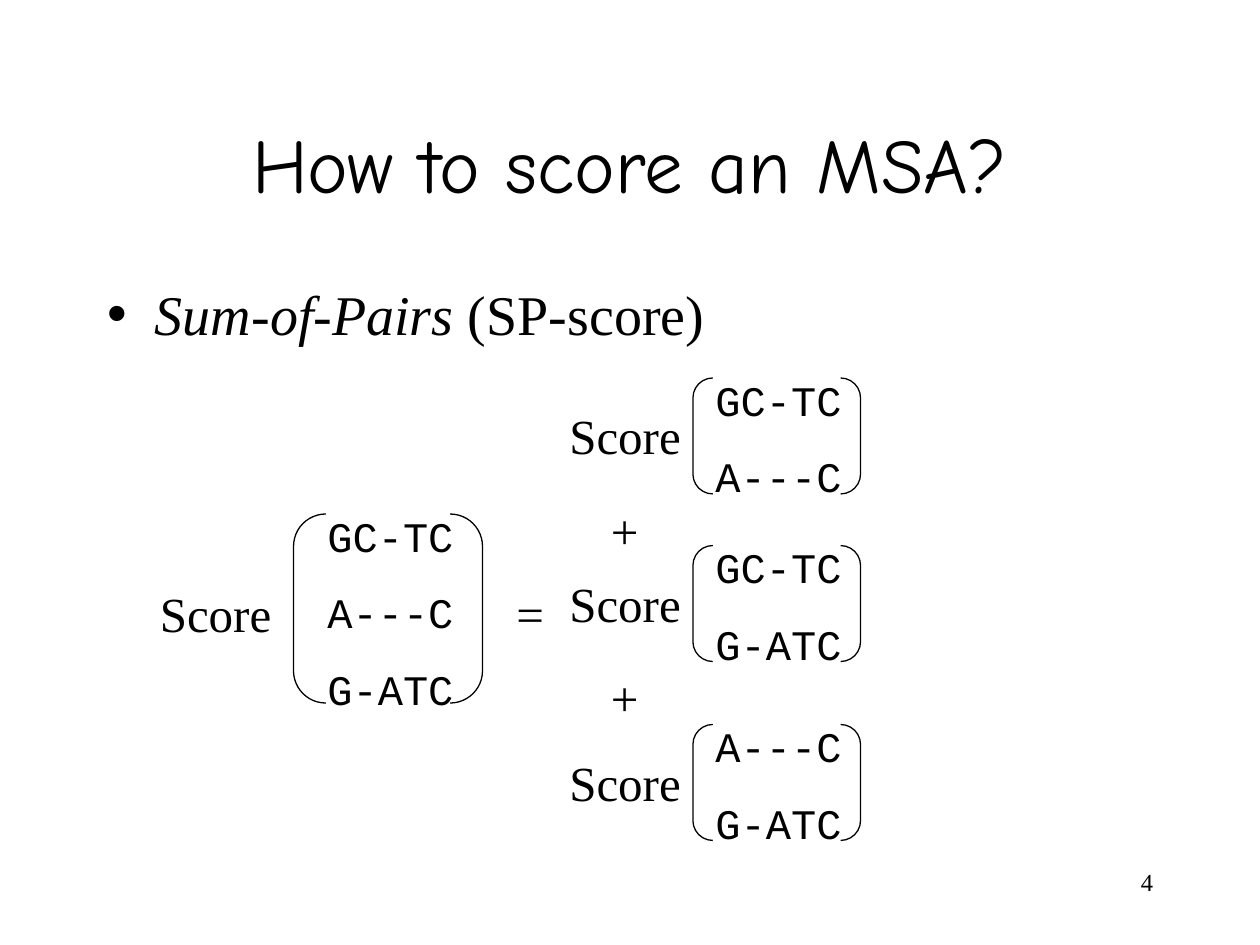
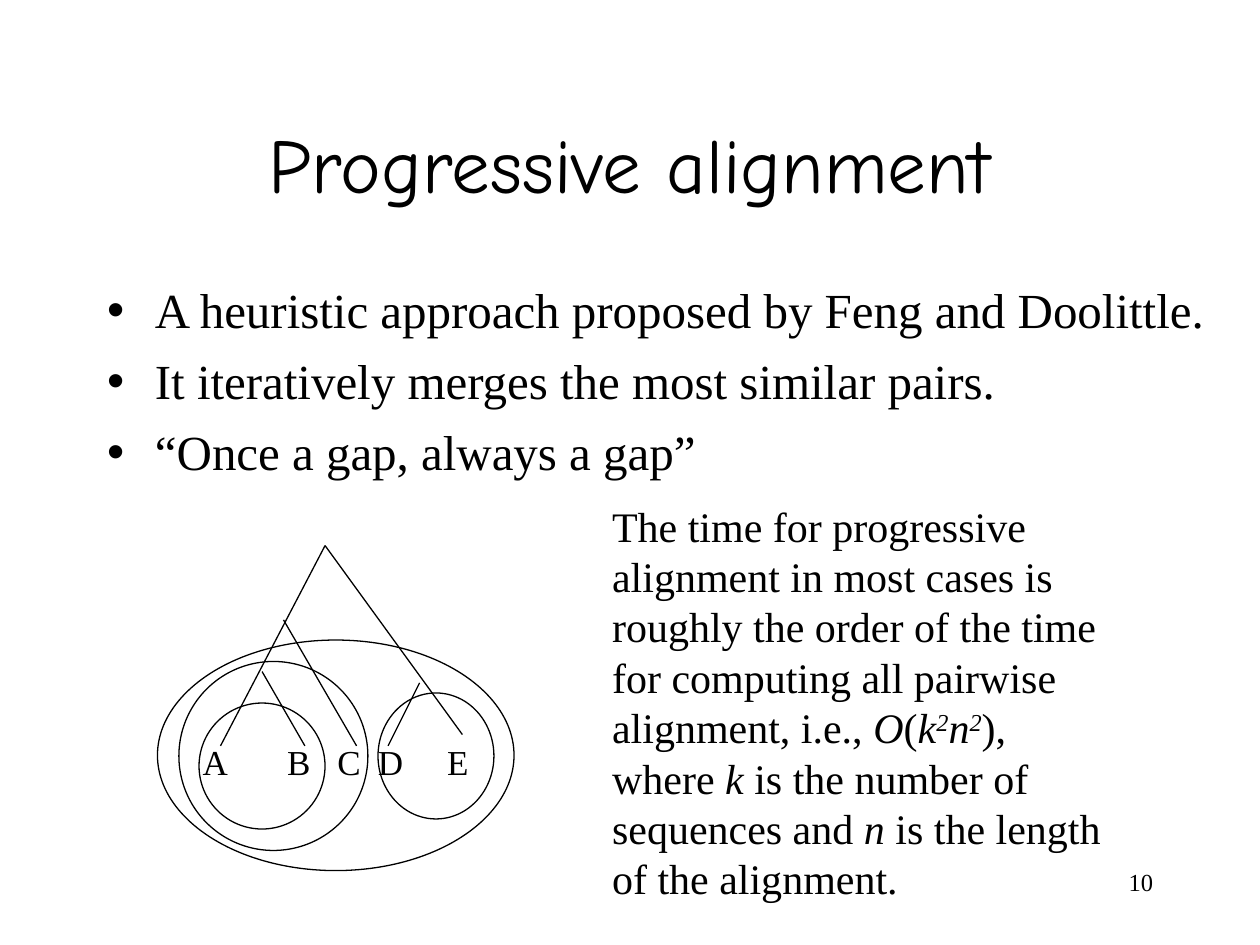
from lxml.etree import SubElement
from pptx import Presentation
from pptx.dml.color import RGBColor
from pptx.enum.shapes import MSO_CONNECTOR, MSO_SHAPE
from pptx.enum.text import MSO_ANCHOR, MSO_AUTO_SIZE, PP_ALIGN
from pptx.oxml.ns import qn
from pptx.util import Inches, Pt

INK = "000000"
LINE_WIDTH = Pt(0.74)
SERIF = "Times New Roman"
TITLE = {"name": "Comic Neue", "size": Pt(44)}
SEQUENCE = {"name": "Courier New", "size": Pt(24)}
FORMULA = {"name": SERIF, "size": Pt(28)}
NOTE = {"name": SERIF, "size": Pt(24)}
LEAF = {"name": SERIF, "size": Pt(20)}
PAGE_NUMBER = {"name": SERIF, "size": Pt(14)}


def color(value):
    """Turn a hex string into a colour."""
    return RGBColor.from_string(value)


def box(*lengths):
    """Convert left, top, width and height to lengths in inches."""
    return [Inches(length) for length in lengths]


def place(shape, *lengths):
    """Move and size a placeholder."""
    for name, value in zip(("left", "top", "width", "height"), box(*lengths)):
        setattr(shape, name, value)


def add_run(paragraph, text, style, variant=""):
    """Add one run; the variant may name italic and superscript."""
    run = paragraph.add_run()
    run.text = text
    for name, value in style.items():
        setattr(run.font, name, value)
    run.font.color.rgb = color(INK)
    if "italic" in variant:
        run.font.italic = True
    if "superscript" in variant:
        run.font._element.set("baseline", "30000")


def fill_text(frame, lines, style, **paragraph_format):
    """Write lines, each a string or a list of (text, variant) runs."""
    frame.word_wrap = True
    for index, line in enumerate(lines):
        paragraph = frame.add_paragraph() if index else frame.paragraphs[0]
        for name, value in paragraph_format.items():
            setattr(paragraph, name, value)
        runs = [(line, "")] if isinstance(line, str) else line
        for text, variant in runs:
            add_run(paragraph, text, style, variant)


def add_text(slide, lengths, lines, style, **paragraph_format):
    """Add a text box that grows with its lines."""
    frame = slide.shapes.add_textbox(*box(*lengths)).text_frame
    frame.auto_size = MSO_AUTO_SIZE.SHAPE_TO_FIT_TEXT
    paragraph_format.setdefault("space_before", style["size"] * 5 // 8)
    fill_text(frame, lines, style, **paragraph_format)
    return frame


def add_outline(slide, kind, *lengths):
    """Add an unfilled preset shape with a thin line."""
    shape = slide.shapes.add_shape(kind, *box(*lengths))
    shape.shadow.inherit = False
    shape.fill.background()
    shape.line.color.rgb = color(INK)
    shape.line.width = LINE_WIDTH
    return shape


def add_line(slide, start, end):
    """Draw a thin straight line between two points."""
    line = slide.shapes.add_connector(MSO_CONNECTOR.STRAIGHT, *box(*start, *end))
    line.line.color.rgb = color(INK)
    line.line.width = LINE_WIDTH
    SubElement(line._element.spPr, qn("a:effectLst"))


def add_score_word(slide, left, top):
    """Write the function name in front of a bracket."""
    add_text(slide, (left, top, 1.12, 0.57), ["Score"], FORMULA)


def add_bracketed(slide, sequences, *lengths):
    """Put a pair of round brackets around a block of sequences."""
    left, top, width, height = lengths
    offset = 0.17 if len(sequences) > 2 else 0.08
    add_text(slide, (left + offset, top - 0.08, 1.25, height + 0.2),
             sequences, SEQUENCE)
    bracket = add_outline(slide, MSO_SHAPE.DOUBLE_BRACKET, *lengths)
    bracket.adjustments[0] = 0.171


def add_base_slide(presentation, title, bullets, bullet_size, body_width, number):
    """Add a slide with its title, bullet list and page number."""
    slide = presentation.slides.add_slide(presentation.slide_layouts[1])
    heading, body = slide.placeholders
    place(heading, 0.75, 0.67, 8.5, 1.25)
    place(body, 0.75, 2.17, body_width, 4.5)
    for placeholder in (heading, body):
        placeholder.text_frame.auto_size = MSO_AUTO_SIZE.NONE
    heading.text_frame.vertical_anchor = MSO_ANCHOR.MIDDLE
    fill_text(heading.text_frame, [title], TITLE, alignment=PP_ALIGN.CENTER)
    fill_text(body.text_frame, bullets, {"name": SERIF, "size": Pt(bullet_size)},
              space_before=Pt(bullet_size / 4))
    for paragraph in body.text_frame.paragraphs:
        properties = paragraph._p.get_or_add_pPr()
        properties.set("marL", str(Inches(0.38)))
        properties.set("indent", str(Inches(-0.38)))
    frame = add_text(slide, (7.17, 6.83, 2.08, 0.5), [number], PAGE_NUMBER,
                     alignment=PP_ALIGN.RIGHT, space_before=Pt(0))
    frame.auto_size = MSO_AUTO_SIZE.NONE
    return slide


def add_score_slide(presentation):
    """Show the alignment score as a sum over sequence pairs."""
    slide = add_base_slide(
        presentation, "How to score an MSA?",
        [[("Sum-of-Pairs", "italic"), (" (SP-score)", "")]], 32, 8.5, "4")
    first, second, third = sequences = ["GC-TC", "A---C", "G-ATC"]
    add_score_word(slide, 1.17, 4.58)
    add_bracketed(slide, sequences, 2.33, 4.08, 1.5, 1.5)
    add_text(slide, (4, 4.58, 0.83, 0.57), ["="], FORMULA)
    pairs = {3: (first, second), 4.33: (first, third), 5.75: (second, third)}
    for top, pair in pairs.items():
        add_score_word(slide, 4.42, top + 0.17)
        add_bracketed(slide, pair, 5.5, top, 1.33, 0.92)
        if pair != (second, third):
            add_text(slide, (4.75, top + 0.92, 0.5, 0.57), ["+"], FORMULA)


def add_leaf_labels(slide):
    """Name the tree leaves in one line spread by tab stops."""
    stops = {"A": 0.26, "B": 0.93, "C": 1.33, "D": 1.65, "E": 2.2}
    labels = "".join("\t" + leaf for leaf in stops)
    frame = add_text(slide, (1.25, 5.83, 2.75, 0.44), [labels], LEAF)
    properties = frame.paragraphs[0]._p.get_or_add_pPr()
    tab_list = SubElement(properties, qn("a:tabLst"))
    for position in stops.values():
        SubElement(tab_list, qn("a:tab"), pos=str(Inches(position)), algn="l")


def add_guide_tree(slide):
    """Draw the guide tree and the clusters around its leaves."""
    root, leaf_level = (2.58, 4.33), 5.92
    branches = [
        (root, (1.75, leaf_level)),
        ((2.08, 5.33), (2.42, leaf_level)),
        ((2.25, 4.92), (2.83, leaf_level)),
        (root, (3.67, 5.83)),
        ((3.33, 5.42), (3.08, leaf_level)),
    ]
    for start, end in branches:
        add_line(slide, start, end)
    add_leaf_labels(slide)
    clusters = [(1.58, 5.58, 1, 1), (1.42, 5.25, 1.5, 1.5),
                (3, 5.5, 0.92, 1), (1.25, 5.08, 2.83, 1.83)]
    for cluster in clusters:
        add_outline(slide, MSO_SHAPE.OVAL, *cluster)


def add_progressive_slide(presentation):
    """Explain progressive alignment with a guide tree and its cost."""
    slide = add_base_slide(
        presentation, "Progressive alignment",
        ["A heuristic approach proposed by Feng and Doolittle.",
         "It iteratively merges the most similar pairs.",
         "“Once a gap, always a gap”"], 28, 9, "10")
    add_guide_tree(slide)
    cost = [
        ("The time for progressive alignment in most cases is roughly the order "
         "of the time for computing all pairwise alignment, i.e., ", ""),
        ("O", "italic"), ("(", ""),
        ("k", "italic"), ("2", "italic superscript"),
        ("n", "italic"), ("2", "italic superscript"),
        ("), where ", ""), ("k", "italic"),
        (" is the number of sequences and ", ""), ("n", "italic"),
        (" is the length of the alignment.", ""),
    ]
    add_text(slide, (4.76, 3.92, 4.17, 3.3), [cost], NOTE)


def main():
    """Build and save the presentation."""
    presentation = Presentation()
    presentation.slide_width = Inches(10)
    presentation.slide_height = Inches(7.5)
    add_score_slide(presentation)
    add_progressive_slide(presentation)
    presentation.save("out.pptx")


main()
